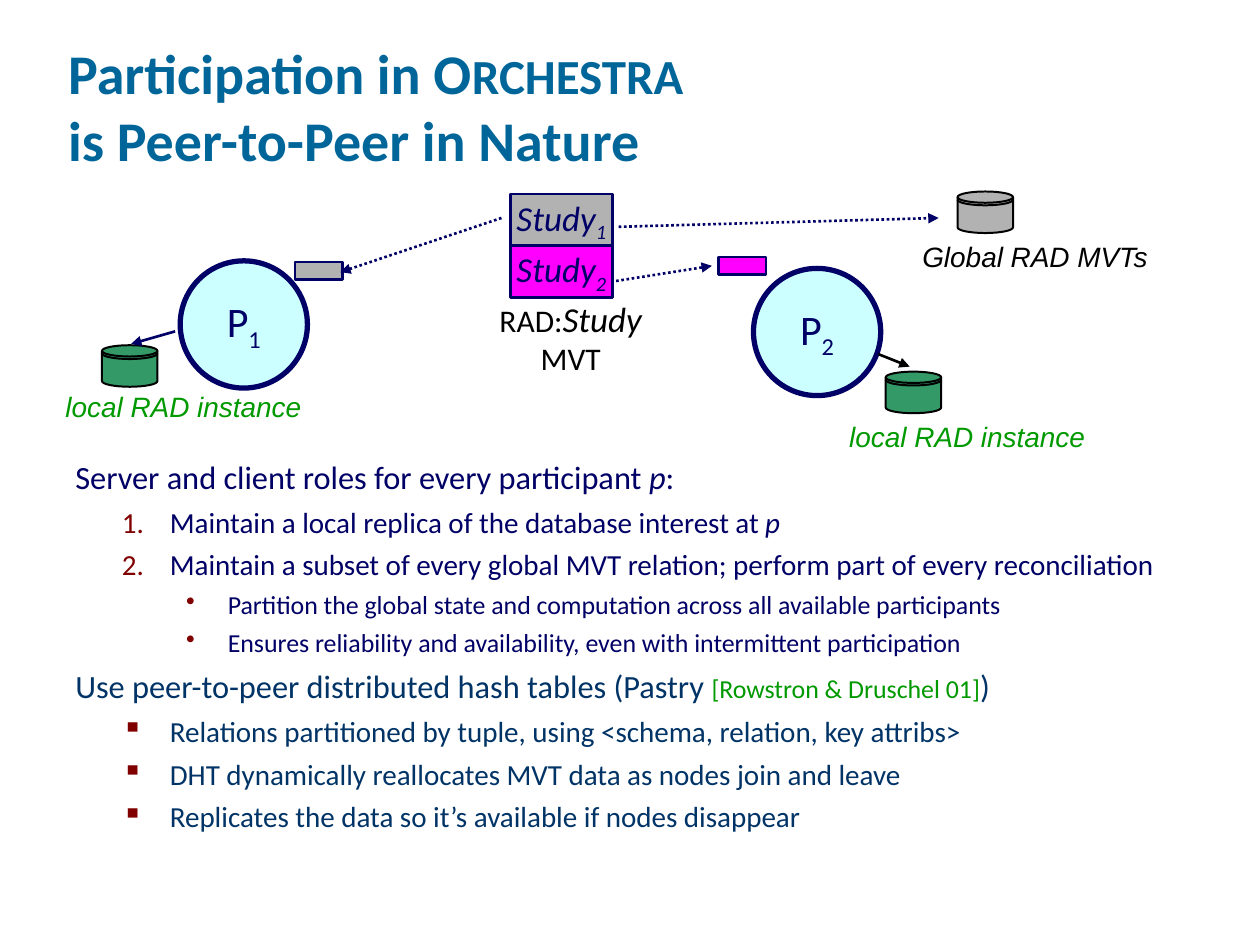
"""Build the slide on peer-to-peer participation."""
from math import cos, pi, sin
from typing import NamedTuple

from lxml.etree import SubElement
from pptx import Presentation
from pptx.dml.color import RGBColor as Rgb
from pptx.enum.dml import MSO_LINE as Dash
from pptx.enum.shapes import MSO_CONNECTOR as Link, MSO_SHAPE as Kind
from pptx.enum.text import MSO_ANCHOR as Anchor, MSO_AUTO_SIZE as Fit, PP_ALIGN as Align
from pptx.oxml.ns import qn
from pptx.util import Inches, Pt

HUE = {"title": "006699", "navy": "000066", "slate": "003366", "green": "009900",
       "mark": "800000", "black": "000000", "gray": "B2B2B2", "pink": "FF00FF",
       "aqua": "CCFFFF", "drum": "339966"}


class Run(NamedTuple):
    text: str
    size: float
    hue: str
    bold: bool = False
    ital: bool = False
    sub: bool = False
    font: str = "Calibri"


class Level(NamedTuple):
    left: float
    hang: float
    size: float
    space: float


class Item(NamedTuple):
    level: int
    mark: str
    runs: list[Run]


class Block(NamedTuple):
    kind: Kind
    box: tuple
    fill: str
    width: float
    runs: list[Run]


class Drum(NamedTuple):
    left: float
    top: float
    fill: str


class Arrow(NamedTuple):
    start: tuple
    end: tuple
    hue: str
    dots: bool


class Label(NamedTuple):
    text: str
    box: tuple
    hue: str


LEVELS = [Level(0, 0, 18.5, 5), Level(0.75, 0.38, 16.6, 4.5), Level(1.21, 0.33, 14.8, 4)]


def item(level: int, mark: str, *parts: str, hue: str = "navy") -> Item:
    size = LEVELS[level].size
    return Item(level, mark, [Run(part, size, hue, ital=part == "p") for part in parts])


ITEMS = [
    item(0, "", "Server and client roles for every participant ", "p", ":"),
    item(1, "1.", "Maintain a local replica of the database interest at ", "p"),
    item(1, "1.", "Maintain a subset of every global MVT relation; "
         "perform part of every reconciliation"),
    item(2, "•", "Partition the global state and computation across all available participants"),
    item(2, "•", "Ensures reliability and availability, even with intermittent participation"),
    Item(0, "", [Run("Use peer-to-peer distributed hash tables (Pastry ", 18.5, "slate"),
                 Run("[Rowstron & Druschel 01]", 14.8, "green"), Run(")", 18.5, "slate")]),
    item(1, "▪", "Relations partitioned by tuple, using <schema, relation, key attribs>", hue="slate"),
    item(1, "▪", "DHT dynamically reallocates MVT data as nodes join and leave", hue="slate"),
    item(1, "▪", "Replicates the data so it’s available if nodes disappear", hue="slate"),
]


def named(text: str, num: str, size: float, ital: bool = False) -> list[Run]:
    return [Run(text, size, "navy", ital=ital), Run(num, size, "navy", ital=ital, sub=True)]


BLOCKS = [
    Block(Kind.OVAL, (1.43, 2.07, 1.01, 1.01), "aqua", 3, named("P", "1", 24)),
    Block(Kind.OVAL, (5.98, 2.13, 1.01, 1.01), "aqua", 3, named("P", "2", 24)),
    Block(Kind.RECTANGLE, (4.05, 1.54, 0.81, 0.41), "gray", 1.5, named("Study", "1", 20, True)),
    Block(Kind.RECTANGLE, (4.05, 1.95, 0.81, 0.41), "pink", 1.5, named("Study", "2", 20, True)),
    Block(Kind.RECTANGLE, (2.34, 2.08, 0.38, 0.14), "gray", 1.5, []),
    Block(Kind.RECTANGLE, (5.7, 2.04, 0.38, 0.14), "pink", 1.5, []),
]
DRUMS = [Drum(7.03, 2.95, "drum"), Drum(0.81, 2.74, "drum"), Drum(7.6, 1.52, "gray")]
ARROWS = [
    Arrow((3.98, 1.73), (2.7, 2.16), "navy", True),
    Arrow((4.89, 2.23), (5.65, 2.11), "navy", True),
    Arrow((6.97, 2.81), (7.22, 2.91), "black", False),
    Arrow((1.39, 2.63), (1.04, 2.73), "navy", False),
    Arrow((4.91, 1.8), (7.45, 1.73), "navy", True),
]
LABELS = [
    Label("local RAD instance", (6.74, 3.33, 1.87, 0.27), "green"),
    Label("local RAD instance", (0.52, 3.09, 1.87, 0.27), "green"),
    Label("Global RAD MVTs", (7.32, 1.9, 1.81, 0.27), "black"),
]


def rgb(hue: str) -> Rgb:
    return Rgb.from_string(HUE[hue])


def write(para, runs: list[Run], *, align=Align.LEFT, space: float = 0) -> None:
    para.alignment = align
    para.space_before = Pt(space)
    for part in runs:
        if part.text == "\n":
            para.add_line_break()
            continue
        run = para.add_run()
        run.text = part.text
        font = run.font
        font.name, font.size = part.font, Pt(part.size)
        font.bold, font.italic = part.bold, part.ital
        font.color.rgb = rgb(part.hue)
        if part.sub:
            run._r.get_or_add_rPr().set("baseline", "-25000")


def frame(shape, *, wrap: bool = True, anchor=Anchor.TOP, pad: tuple = (0.1, 0.05)):
    text = shape.text_frame
    text.auto_size, text.word_wrap, text.vertical_anchor = Fit.NONE, wrap, anchor
    text.margin_left = text.margin_right = Inches(pad[0])
    text.margin_top = text.margin_bottom = Inches(pad[1])
    return text


def bullet(para, level: Level, mark: str) -> None:
    props = para._p.get_or_add_pPr()
    props.set("marL", str(Inches(level.left)))
    props.set("indent", str(-Inches(level.hang)))
    if not mark:
        SubElement(props, qn("a:buNone"))
        return
    SubElement(SubElement(props, qn("a:buClr")), qn("a:srgbClr"), val=HUE["mark"])
    if mark == "1.":
        SubElement(props, qn("a:buAutoNum"), type="arabicPeriod")
    else:
        SubElement(props, qn("a:buChar"), char=mark)


def text_box(shapes, box: tuple, **style):
    return frame(shapes.add_textbox(*map(Inches, box)), **style)


def draw_list(shapes) -> None:
    text = text_box(shapes, (0.5, 3.58, 8.94, 3.77))
    for num, entry in enumerate(ITEMS):
        para = text.add_paragraph() if num else text.paragraphs[0]
        level = LEVELS[entry.level]
        para.level = entry.level
        bullet(para, level, entry.mark)
        write(para, entry.runs, space=level.space if num else 0)


def draw_block(shapes, block: Block) -> None:
    shape = shapes.add_shape(block.kind, *map(Inches, block.box))
    shape.shadow.inherit = False
    shape.fill.solid()
    shape.fill.fore_color.rgb = rgb(block.fill)
    shape.line.color.rgb, shape.line.width = rgb("navy"), Pt(block.width)
    if block.runs:
        text = frame(shape, wrap=False, anchor=Anchor.MIDDLE)
        write(text.paragraphs[0], block.runs, align=Align.CENTER)


def arc(left: float, mid: float, start: float, end: float) -> list[tuple]:
    turns = [start + (end - start) * step / 16 for step in range(17)]
    return [(Inches(left + 0.22 + 0.22 * cos(turn)), Inches(mid + 0.045 * sin(turn)))
            for turn in turns]


def draw_drum(shapes, drum: Drum) -> None:
    left, lid = drum.left, drum.top + 0.045
    side = arc(left, lid + 0.24, pi, 0) + arc(left, lid, 0, -pi)
    rims = [arc(left, lid + drop, pi, 0) for drop in (0, 0.02)]
    for dots, fill in [(side, drum.fill)] + [(rim, None) for rim in rims]:
        path = shapes.build_freeform(*dots[0], scale=1.0)
        path.add_line_segments(dots[1:], close=bool(fill))
        shape = path.convert_to_shape()
        shape.shadow.inherit = False
        shape.line.color.rgb, shape.line.width = rgb("black"), Pt(1.13)
        if fill:
            shape.fill.solid()
            shape.fill.fore_color.rgb = rgb(fill)
        else:
            shape.fill.background()


def draw_arrow(shapes, arrow: Arrow) -> None:
    link = shapes.add_connector(Link.STRAIGHT, *map(Inches, arrow.start + arrow.end))
    link.line.color.rgb, link.line.width = rgb(arrow.hue), Pt(1.5)
    if arrow.dots:
        link.line.dash_style = Dash.ROUND_DOT
    SubElement(link.line._get_or_add_ln(), qn("a:tailEnd"), type="triangle")
    SubElement(link._element.spPr, qn("a:effectLst"))


def main() -> None:
    deck = Presentation()
    deck.slide_width, deck.slide_height = Inches(10), Inches(7.5)
    slide = deck.slides.add_slide(deck.slide_layouts[5])
    shapes, title = slide.shapes, slide.shapes.title
    title.left, title.top, title.width, title.height = map(Inches, (0.44, 0.17, 8.5, 1.25))
    write(frame(title, anchor=Anchor.BOTTOM).paragraphs[0], [
        Run("Participation in O", 32, "title", True), Run("RCHESTRA", 28, "title", True),
        Run("\n", 32, "title"), Run("is Peer-to-Peer in Nature", 32, "title", True)])
    draw_list(shapes)
    for drum in DRUMS:
        draw_drum(shapes, drum)
    for block in BLOCKS:
        draw_block(shapes, block)
    for arrow in ARROWS:
        draw_arrow(shapes, arrow)
    for label in LABELS:
        text = text_box(shapes, label.box, wrap=False, pad=(0, 0))
        write(text.paragraphs[0], [Run(label.text, 16, label.hue, ital=True, font="Arial")])
    text = text_box(shapes, (3.63, 2.31, 1.8, 0.74))
    write(text.paragraphs[0], [Run("RAD:", 18, "black"), Run("Study", 20, "black", ital=True),
                               Run(" MVT", 18, "black")], align=Align.CENTER)
    deck.save("out.pptx")


if __name__ == "__main__":
    main()
